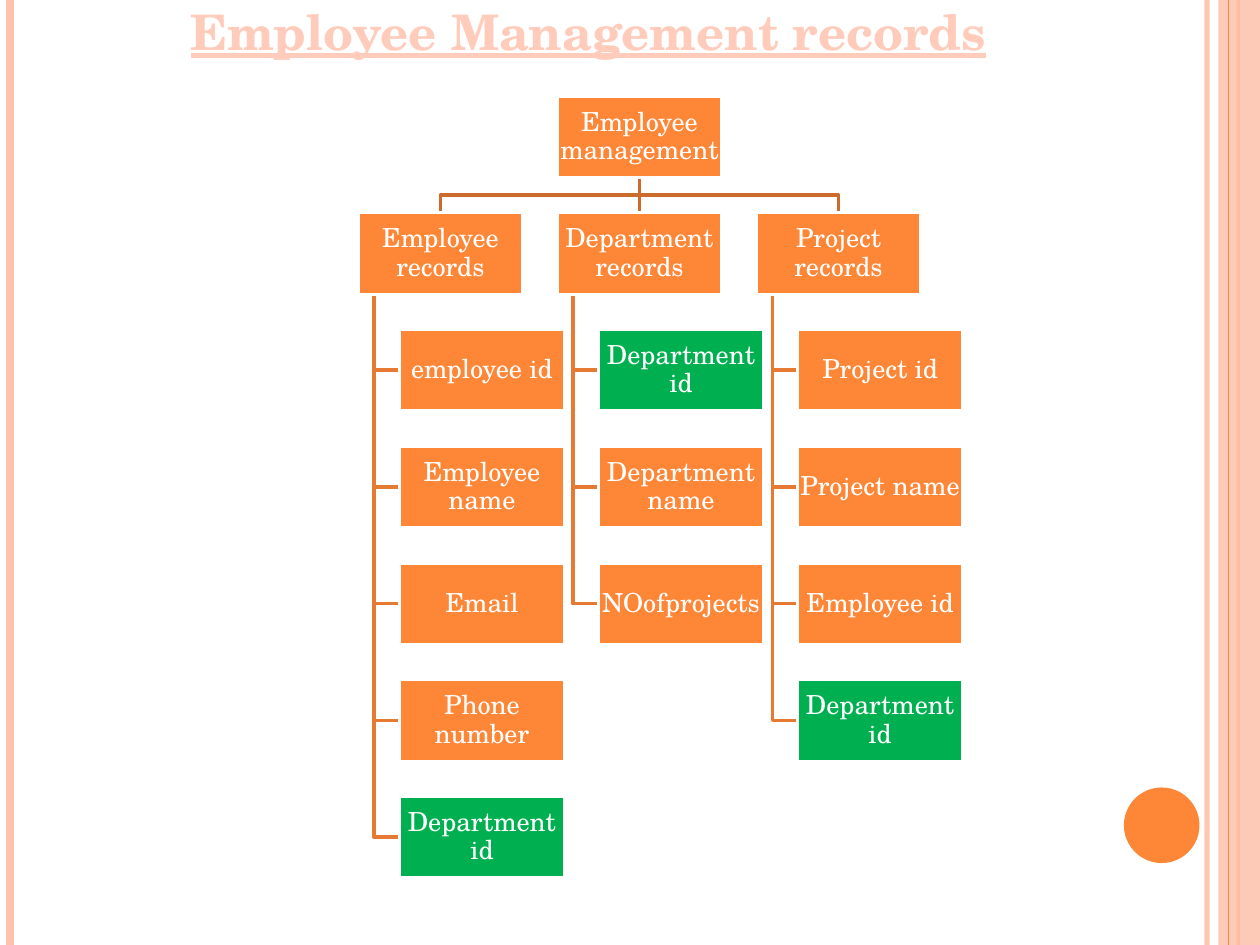
from pptx import Presentation
from pptx.dml.color import RGBColor
from pptx.enum.shapes import MSO_CONNECTOR as Connector, MSO_SHAPE as Shape
from pptx.enum.text import MSO_ANCHOR as Anchor, MSO_AUTO_SIZE as AutoSize, PP_ALIGN as Align
from pptx.oxml.ns import qn
from pptx.util import Inches, Pt
from lxml.etree import SubElement

FONT = "TeX Gyre Schola"
ORANGE, GREEN, PEACH, WHITE = "FE8637", "00B050", "FEC3AE", "FFFFFF"
TRUNK_COLOR, BRANCH_COLOR = "CB6B2C", "E77A32"
BOX_WIDTH, BOX_HEIGHT = 1.31, 0.65
FIRST_LEFT, COLUMN_STEP = 2.84, 1.58
FIRST_TOP, ROW_STEP = 0.76, (6.32 - 0.76) / 6
STEM_INSET, CHILD_INDENT = 0.13, 0.33

RECORDS = [
    ("Employee records", ["employee id", "Employee name", "Email", "Phone number", "Department id"]),
    ("Department records", ["Department id", "Department name", "NOofprojects"]),
    ("Project records", ["Project id", "Project name", "Employee id", "Department id"]),
]


def rgb(value):
    return RGBColor.from_string(value)


def set_alpha(fill_parent, percent):
    color = next(fill_parent.iter(qn("a:srgbClr")))
    SubElement(color, qn("a:alpha")).set("val", str(percent * 1000))


def style_line(shape, color, width):
    shape.line.color.rgb = rgb(color)
    shape.line.width = Pt(width)


def add_line(page, start, end, color, width):
    line = page.shapes.add_connector(Connector.STRAIGHT, *map(Inches, start + end))
    style_line(line, color, width)
    SubElement(line._element.spPr, qn("a:effectLst"))
    return line


def add_path(page, points, color):
    points = [(Inches(x), Inches(y)) for x, y in points]
    builder = page.shapes.build_freeform(*points[0])
    builder.add_line_segments(points[1:], close=False)
    path = builder.convert_to_shape()
    path.shadow.inherit = False
    path.fill.background()
    style_line(path, color, 2)


def add_plain_shape(page, kind, left, top, width, height, color):
    shape = page.shapes.add_shape(kind, *map(Inches, (left, top, width, height)))
    shape.shadow.inherit = False
    shape.fill.solid()
    shape.fill.fore_color.rgb = rgb(color)
    shape.line.fill.background()
    return shape


def add_run(para, text, size, color):
    span = para.add_run()
    span.text = text
    span.font.name = FONT
    span.font.size = Pt(size)
    span.font.color.rgb = rgb(color)
    return span


def add_box(page, left, top, text):
    color = GREEN if text == "Department id" else ORANGE
    box = add_plain_shape(page, Shape.RECTANGLE, left, top, BOX_WIDTH, BOX_HEIGHT, color)
    style_line(box, WHITE, 2)
    frame = box.text_frame
    frame.word_wrap = True
    frame.vertical_anchor = Anchor.MIDDLE
    frame.margin_left = frame.margin_right = Inches(0.01)
    frame.margin_top = frame.margin_bottom = Inches(0.01)
    para = frame.paragraphs[0]
    para.alignment = Align.CENTER
    para.line_spacing = 0.9
    add_run(para, text, 15, WHITE)


def add_title(page, text):
    title = page.shapes.title
    title.left, title.top = Inches(0.09), Inches(-0.04)
    title.width, title.height = Inches(9.16), Inches(0.57)
    frame = title.text_frame
    frame.word_wrap = True
    frame.auto_size = AutoSize.NONE
    frame.vertical_anchor = Anchor.TOP
    para = frame.paragraphs[0]
    para.alignment = Align.CENTER
    span = add_run(para, text, 28, "FFCCBB")
    span.font.bold = True
    span.font.underline = True


def add_side_bands(page):
    def rule(x, color, width):
        return add_line(page, (x, 0), (x, 7.5), color, width)

    set_alpha(rule(9.58, PEACH, 3)._element.spPr, 93)
    rule(0.08, PEACH, 4.5)
    rule(9.83, ORANGE, 1.5)
    band = add_plain_shape(page, Shape.RECTANGLE, 9.67, 0, 0.33, 7.5, PEACH)
    set_alpha(band._element.spPr, 87)
    rule(9.75, ORANGE, 0.75)
    add_plain_shape(page, Shape.OVAL, 8.92, 6.25, 0.6, 0.6, ORANGE)


def column_left(column):
    return FIRST_LEFT + column * COLUMN_STEP


def row_top(row):
    return FIRST_TOP + row * ROW_STEP


def add_trunk(page, column):
    root_x = column_left(1) + BOX_WIDTH / 2
    group_x = column_left(column) + BOX_WIDTH / 2
    start, end = row_top(0) + BOX_HEIGHT, row_top(1)
    middle = (start + end) / 2
    if column == 1:
        add_line(page, (root_x, start), (root_x, end), TRUNK_COLOR, 2)
    else:
        corners = [(root_x, start), (root_x, middle), (group_x, middle), (group_x, end)]
        add_path(page, corners, TRUNK_COLOR)


def add_branch(page, column, row):
    stem_x = column_left(column) + STEM_INSET
    child_x = column_left(column) + CHILD_INDENT
    middle = row_top(row) + BOX_HEIGHT / 2
    stem_top = row_top(1) + BOX_HEIGHT
    add_path(page, [(stem_x, stem_top), (stem_x, middle), (child_x, middle)], BRANCH_COLOR)


def add_hierarchy(page):
    for column, (_, fields) in enumerate(RECORDS):
        add_trunk(page, column)
        for row in range(2, 2 + len(fields)):
            add_branch(page, column, row)
    add_box(page, column_left(1), row_top(0), "Employee management")
    for column, (group, fields) in enumerate(RECORDS):
        add_box(page, column_left(column), row_top(1), group)
        for row, field in enumerate(fields, start=2):
            add_box(page, column_left(column) + CHILD_INDENT, row_top(row), field)


def main():
    deck = Presentation()
    deck.slide_width, deck.slide_height = Inches(10), Inches(7.5)
    page = deck.slides.add_slide(deck.slide_layouts[5])
    add_side_bands(page)
    add_hierarchy(page)
    add_title(page, "Employee Management records")
    deck.save("out.pptx")


if __name__ == "__main__":
    main()
